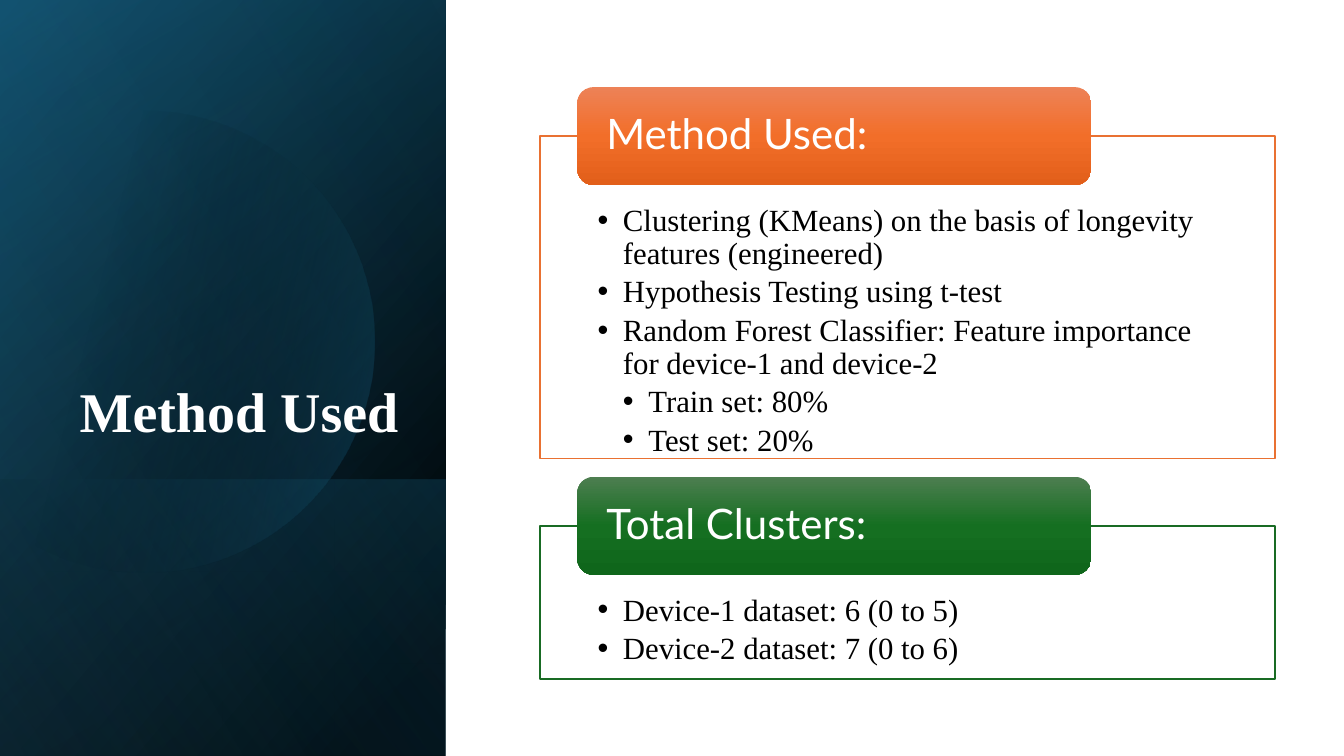
"""Build the Method Used slide with a gradient side band and two titled lists."""
from math import acos, cos, degrees, radians, sin

from pptx import Presentation
from pptx.dml.color import RGBColor
from pptx.enum.shapes import MSO_SHAPE
from pptx.enum.text import MSO_ANCHOR, MSO_AUTO_SIZE, PP_ALIGN
from pptx.oxml import parse_xml
from pptx.oxml.ns import nsdecls, qn
from pptx.util import Cm, Pt

TITLE = "Method Used"
SECTIONS = [
    {
        "header": "Method Used:",
        "color": "orange",
        "header_stops": [(0, "orange_light", 100), (50, "orange_mid", 100), (100, "orange_dark", 100)],
        "top": 3.43,
        "height": 8.13,
        "items": [
            (0, "Clustering (KMeans) on the basis of longevity features (engineered)"),
            (0, "Hypothesis Testing using t-test"),
            (0, "Random Forest Classifier: Feature importance for device-1 and device-2"),
            (1, "Train set: 80%"),
            (1, "Test set: 20%"),
        ],
    },
    {
        "header": "Total Clusters:",
        "color": "green",
        "header_stops": [(0, "green_light", 100), (50, "green_mid", 100), (100, "green_dark", 100)],
        "top": 13.25,
        "height": 3.86,
        "items": [
            (0, "Device-1 dataset: 6 (0 to 5)"),
            (0, "Device-2 dataset: 7 (0 to 6)"),
        ],
    },
]
COLORS = {
    "white": "FFFFFF", "black": "000000",
    "navy": "104862", "teal": "156082", "sky": "46B1E1",
    "orange": "E97132", "orange_light": "ED8257", "orange_mid": "F26E29", "orange_dark": "E25F1A",
    "green": "196B24", "green_light": "4D7E50", "green_mid": "156F21", "green_dark": "0F661B",
}
SLIDE_W, SLIDE_H = 33.87, 19.05
BAND_W = 11.23
FOOT_H = 6.96
BASE_LAYERS = [
    (SLIDE_H, 50, [(8, "black", 100), (100, "navy", 100)]),
    (SLIDE_H, 30, [(0, "black", 0), (99, "teal", 46)]),
    (FOOT_H, 130, [(2, "teal", 29), (100, "black", 30)]),
]
TOP_LAYER = (SLIDE_H, 120, [(0, "black", 0), (99, "sky", 11)])
DISC_X, DISC_Y, DISC_R = 3.63, 8.61, 5.82
DISC_STOPS = [(29, "black", 0), (100, "teal", 43)]
PANEL_X, PANEL_W = 13.61, 18.52
HEADER_X, HEADER_W, HEADER_H = 14.55, 12.95, 2.47
INDENT = 0.64


def rgb(name):
    return RGBColor.from_string(COLORS[name])


def place(sp, x, y, w, h):
    sp.left, sp.top, sp.width, sp.height = Cm(x), Cm(y), Cm(w), Cm(h)


def set_insets(tf, left, top, right, bottom):
    tf.margin_left, tf.margin_top = Cm(left), Cm(top)
    tf.margin_right, tf.margin_bottom = Cm(right), Cm(bottom)


def style(p, font, size, color):
    p.font.name, p.font.size = font, Pt(size)
    p.font.color.rgb = rgb(color)
    p.line_spacing = 0.9
    p.space_before = Pt(0)


def gradient(sp, stops, angle):
    sp.shadow.inherit = False
    sp.line.fill.background()
    sp.fill.gradient()
    old = sp.element.spPr.find(qn("a:gradFill"))
    marks = "".join(
        f'<a:gs pos="{pos * 1000}"><a:srgbClr val="{COLORS[name]}">'
        f'<a:alpha val="{alpha * 1000}"/></a:srgbClr></a:gs>'
        for pos, name, alpha in stops
    )
    new = parse_xml(
        f'<a:gradFill {nsdecls("a")} rotWithShape="1"><a:gsLst>{marks}</a:gsLst>'
        f'<a:lin ang="{angle * 60000}" scaled="0"/></a:gradFill>'
    )
    old.getparent().replace(old, new)


def add_layer(shapes, depth, angle, stops):
    x = (BAND_W - depth) / 2
    y = SLIDE_H - (depth + BAND_W) / 2
    sp = shapes.add_shape(MSO_SHAPE.RECTANGLE, Cm(x), Cm(y), Cm(depth), Cm(BAND_W))
    sp.rotation = 90
    sp.element.spPr.find(qn("a:xfrm")).set("flipH", "1")
    gradient(sp, stops, angle)


def add_disc(shapes):
    limit = degrees(acos(-DISC_X / DISC_R))
    steps = 120
    angles = [radians(limit * (2 * i / steps - 1)) for i in range(steps + 1)]
    points = [(Cm(DISC_X + DISC_R * cos(a)), Cm(DISC_Y + DISC_R * sin(a))) for a in angles]
    builder = shapes.build_freeform(*points[0])
    builder.add_line_segments(points[1:], close=True)
    gradient(builder.convert_to_shape(), DISC_STOPS, 14)


def fill_list(sp, section):
    place(sp, PANEL_X, section["top"], PANEL_W, section["height"])
    sp.fill.solid()
    sp.fill.fore_color.rgb = rgb("white")
    sp.line.color.rgb = rgb(section["color"])
    sp.line.width = Pt(1)
    tf = sp.text_frame
    tf.word_wrap, tf.auto_size = True, MSO_AUTO_SIZE.NONE
    tf.vertical_anchor = MSO_ANCHOR.TOP
    set_insets(tf, 1.45, 1.73, 1.45, 0.43)
    for i, (level, text) in enumerate(section["items"]):
        p = tf.add_paragraph() if i else tf.paragraphs[0]
        p.text, p.level = text, level
        style(p, "Times New Roman", 22, "black")
        p.space_after = Pt(3.6)
        pPr = p._p.get_or_add_pPr()
        pPr.set("marL", str(Cm(INDENT * (level + 1))))
        pPr.set("indent", str(-Cm(INDENT)))
        bullet = parse_xml(f'<a:buChar {nsdecls("a")} char="•"/>')
        pPr.find(qn("a:defRPr")).addprevious(bullet)


def add_header(shapes, section):
    y = section["top"] - HEADER_H / 2
    sp = shapes.add_shape(MSO_SHAPE.ROUNDED_RECTANGLE, Cm(HEADER_X), Cm(y), Cm(HEADER_W), Cm(HEADER_H))
    gradient(sp, section["header_stops"], 90)
    tf = sp.text_frame
    tf.word_wrap = True
    tf.vertical_anchor = MSO_ANCHOR.MIDDLE
    set_insets(tf, 0.61, 0, 0.61, 0)
    p = tf.paragraphs[0]
    p.text, p.alignment = section["header"], PP_ALIGN.LEFT
    style(p, "Lato", 30, "white")


def fill_title(sp):
    place(sp, 1.63, 4.67, 8.66, 6.65)
    tf = sp.text_frame
    tf.word_wrap, tf.auto_size = True, MSO_AUTO_SIZE.NONE
    tf.vertical_anchor = MSO_ANCHOR.BOTTOM
    p = tf.paragraphs[0]
    p.text, p.alignment = TITLE, PP_ALIGN.RIGHT
    style(p, "Times New Roman", 40, "white")
    p.font.bold = True
    sp.element.getparent().append(sp.element)


def main():
    prs = Presentation()
    prs.slide_width, prs.slide_height = Cm(SLIDE_W), Cm(SLIDE_H)
    slide = prs.slides.add_slide(prs.slide_layouts.get_by_name("Two Content"))
    shapes = slide.shapes
    title, *lists = list(slide.placeholders)
    for layer in BASE_LAYERS:
        add_layer(shapes, *layer)
    add_disc(shapes)
    add_layer(shapes, *TOP_LAYER)
    fill_title(title)
    for sp, section in zip(lists, SECTIONS):
        fill_list(sp, section)
        add_header(shapes, section)
    prs.save("out.pptx")


if __name__ == "__main__":
    main()
